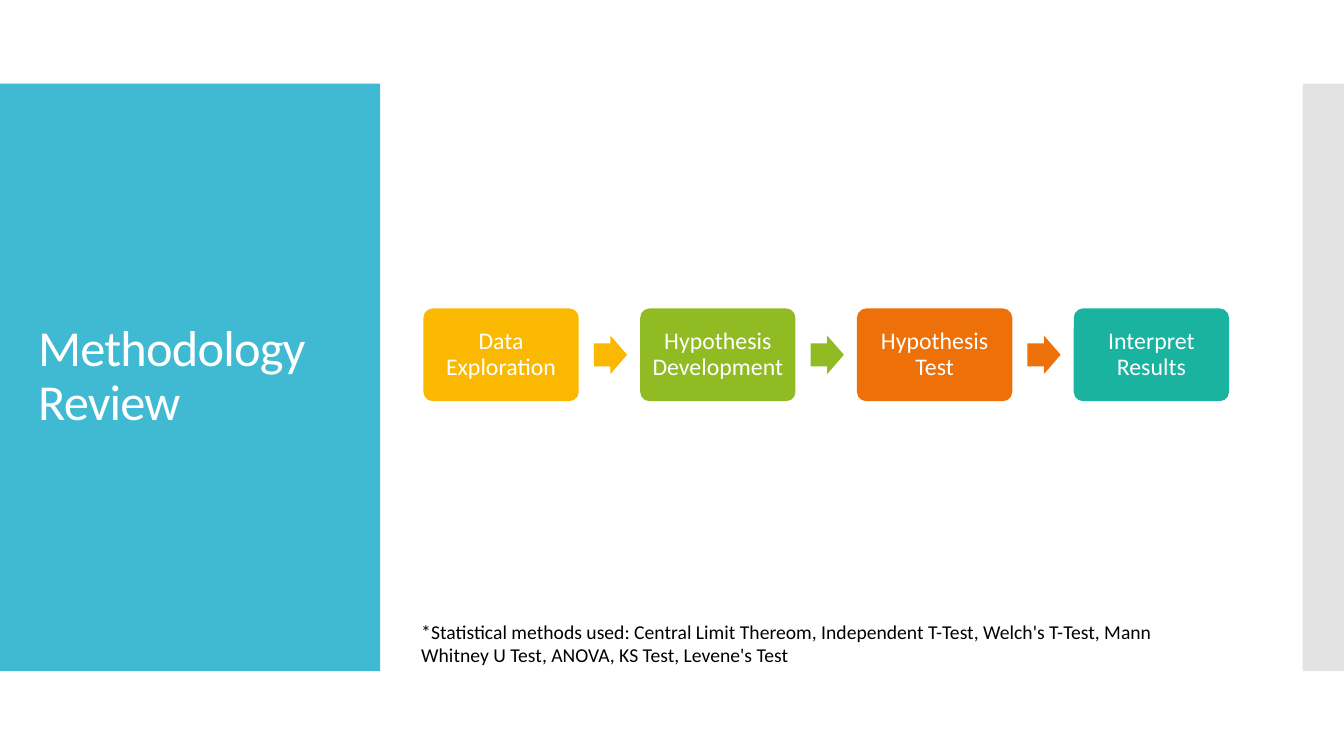
from lxml import etree
from pptx import Presentation
from pptx.dml.color import RGBColor
from pptx.enum.shapes import MSO_SHAPE
from pptx.enum.text import MSO_ANCHOR, PP_ALIGN
from pptx.oxml.ns import qn
from pptx.util import Inches, Pt

STEPS = [
    ("Data Exploration", "FAB900"),
    ("Hypothesis Development", "90BB23"),
    ("Hypothesis Test", "EE7008"),
    ("Interpret Results", "1AB39F"),
]
METHODS = (
    "*Statistical methods used: Central Limit Thereom, Independent T-Test, "
    "Welch's T-Test, Mann Whitney U Test, ANOVA, KS Test, Levene's Test"
)


def color(value):
    """Turn a hex string into a colour."""
    return RGBColor.from_string(value)


def add_block(page, kind, left, top, width, height, fill):
    """Add a flat filled shape without outline or shadow."""
    block = page.shapes.add_shape(
        kind, Inches(left), Inches(top), Inches(width), Inches(height)
    )
    block.shadow.inherit = False
    block.fill.solid()
    block.fill.fore_color.rgb = color(fill)
    block.line.fill.background()
    return block


def write(box, text, size, hue, align=PP_ALIGN.LEFT, spacing=1.0):
    """Put one formatted paragraph into a box and return its run."""
    box.text_frame.word_wrap = True
    box.text_frame.text = text
    para = box.text_frame.paragraphs[0]
    para.alignment = align
    para.line_spacing = spacing
    span = para.runs[0]
    span.font.name = "Calibri"
    span.font.size = Pt(size)
    span.font.color.rgb = color(hue)
    return span


def add_title_panel(page, left, top, width, height):
    """Draw the coloured panel with the slide title."""
    add_block(page, MSO_SHAPE.RECTANGLE, left, top, width, height, "40BAD2")
    title = page.shapes.add_textbox(
        Inches(left + 0.28), Inches(top + 0.4), Inches(3.22), Inches(height - 0.8)
    )
    title.text_frame.vertical_anchor = MSO_ANCHOR.MIDDLE
    span = write(title, "Methodology Review", 36, "FFFFFF", spacing=0.9)
    span.font._element.set("spc", "-60")


def add_edge_strip(page, left, top, width, height):
    """Draw the half-transparent strip at the right edge."""
    strip = add_block(page, MSO_SHAPE.RECTANGLE, left, top, width, height, "C8C8C8")
    tint = strip.fill._xPr.find(qn("a:solidFill"))[0]
    etree.SubElement(tint, qn("a:alpha")).set("val", "50000")


def add_process(page, left, top, width, height, pitch):
    """Draw the row of step cards joined by arrows."""
    for index, (label, fill) in enumerate(STEPS):
        card_left = left + index * pitch
        card = add_block(
            page, MSO_SHAPE.ROUNDED_RECTANGLE, card_left, top, width, height, fill
        )
        card.adjustments[0] = 0.1
        frame = card.text_frame
        frame.margin_left = frame.margin_right = Inches(0.07)
        frame.margin_top = frame.margin_bottom = Inches(0.07)
        frame.vertical_anchor = MSO_ANCHOR.MIDDLE
        write(card, label, 17, "FFFFFF", PP_ALIGN.CENTER, 0.9)
        if index < len(STEPS) - 1:
            arrow = add_block(
                page, MSO_SHAPE.RIGHT_ARROW, card_left + width + 0.15,
                top + (height - 0.38) / 2, 0.33, 0.38, fill,
            )
            arrow.adjustments[0] = 0.6
            arrow.adjustments[1] = 0.5


def add_footnote(page, left, top, width, height):
    """Add the list of statistical methods."""
    note = page.shapes.add_textbox(
        Inches(left), Inches(top), Inches(width), Inches(height)
    )
    write(note, METHODS, 14, "000000")


def main():
    """Build the slide and save the deck."""
    deck = Presentation()
    deck.slide_width, deck.slide_height = Inches(13.33), Inches(7.5)
    page = deck.slides.add_slide(deck.slide_layouts[6])
    add_title_panel(page, 0, 0.83, 3.77, 5.83)
    add_edge_strip(page, 12.92, 0.83, 0.41, 5.83)
    add_process(page, 4.2, 3.06, 1.54, 0.92, 2.15)
    add_footnote(page, 4.08, 6.1, 8, 0.57)
    deck.save("out.pptx")


if __name__ == "__main__":
    main()
